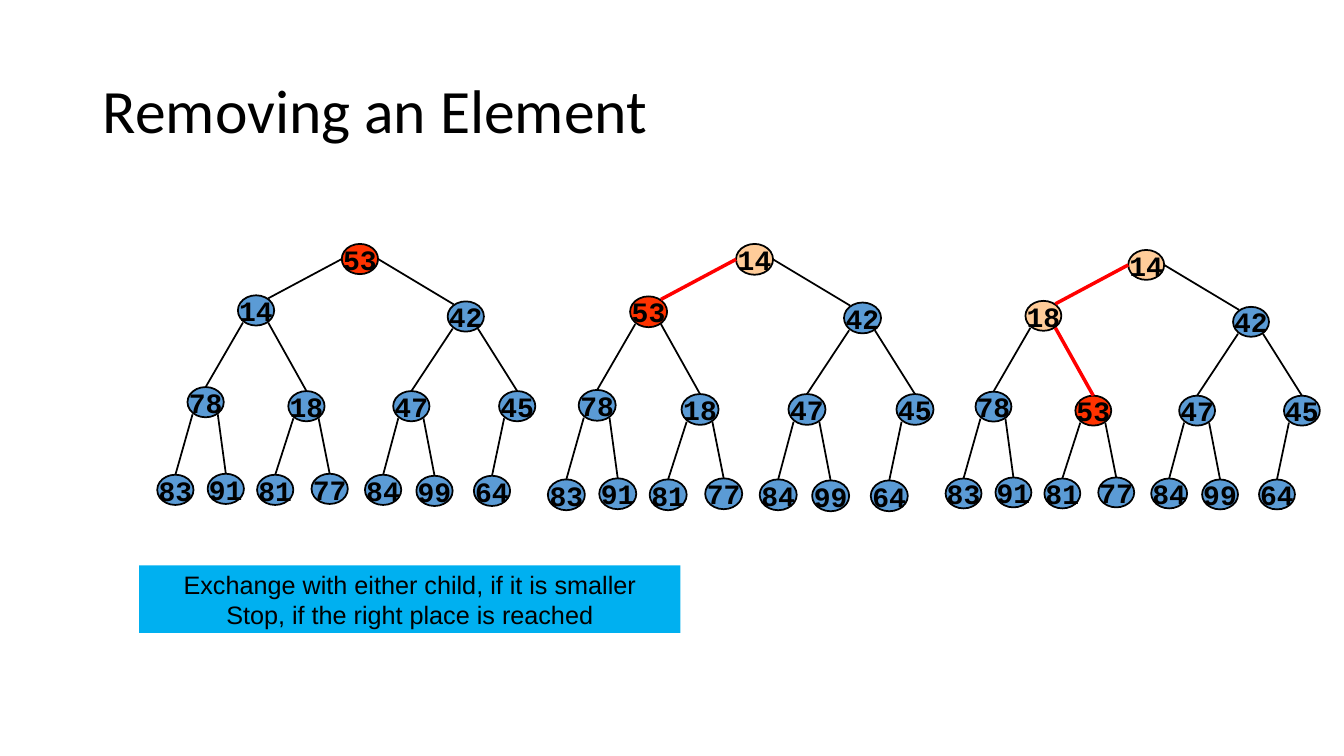
from lxml.etree import SubElement
from pptx import Presentation
from pptx.dml.color import RGBColor
from pptx.enum.shapes import MSO_CONNECTOR, MSO_SHAPE
from pptx.enum.text import MSO_ANCHOR, PP_ALIGN
from pptx.oxml.ns import qn
from pptx.util import Inches, Pt

BLACK, BLUE, SKY = "000000", "5B9BD5", "00B0F0"
FLAME, PEACH, RED = "FF3300", "FFCC99", "FF0000"

# Node offsets from the root in heap order: node i has children 2i and 2i + 1.
NODES = [
    (0, 0),
    (-1.03, 0.51), (1.05, 0.57),
    (-1.53, 1.42), (-0.53, 1.46), (0.51, 1.46), (1.56, 1.46),
    (-1.83, 2.29), (-1.33, 2.28), (-0.84, 2.29), (-0.3, 2.28),
    (0.23, 2.29), (0.74, 2.3), (1.31, 2.3),
]
TAIL = [42, 78, 18, 47, 45, 83, 91, 81, 77, 84, 99, 64]

# Root left and top, scale, keys, fills of marked nodes, nodes below a red edge
TREES = [
    (3.39, 2.42, 1, [53, 14] + TAIL, {1: FLAME}, []),
    (7.3, 2.42, 1.02, [14, 53] + TAIL, {1: PEACH, 2: FLAME}, [2]),
    (11.19, 2.48, 0.99, [14, 18, 42, 78, 53] + TAIL[3:],
     {1: PEACH, 2: PEACH, 5: FLAME}, [2, 5]),
]


def color(code):
    return RGBColor.from_string(code)


class Board:
    """Holds the slide and the style of its elements."""

    def __init__(self, deck):
        self.slide = deck.slides.add_slide(deck.slide_layouts[5])
        self.width, self.height = 0.36, 0.3

    def label(self, frame, lines, font, size, bold=False, align=PP_ALIGN.CENTER):
        frame.vertical_anchor = MSO_ANCHOR.MIDDLE
        frame.text = "\n".join(lines)
        for line in frame.paragraphs:
            line.alignment = align
            line.font.name, line.font.size = font, Pt(size)
            line.font.bold = bold
            line.font.color.rgb = color(BLACK)

    def title(self, text):
        shape = self.slide.shapes.title
        shape.left, shape.top = Inches(0.92), Inches(0.4)
        shape.width, shape.height = Inches(11.5), Inches(1.45)
        self.label(shape.text_frame, [text], "Calibri", 44, align=PP_ALIGN.LEFT)
        shape.text_frame.paragraphs[0].line_spacing = 0.9

    def shape(self, shapes, kind, box, fill):
        item = shapes.add_shape(kind, *map(Inches, box))
        item.shadow.inherit = False
        item.fill.solid()
        item.fill.fore_color.rgb = color(fill)
        item.text_frame.word_wrap = False
        return item

    def node(self, shapes, left, top, scale, key, fill):
        box = left, top, self.width * scale, self.height * scale
        item = self.shape(shapes, MSO_SHAPE.OVAL, box, fill)
        item.line.color.rgb = color(BLACK)
        item.line.width = Pt(1.25)
        self.label(item.text_frame, [str(key)], "Courier New", 20, True)

    def edge(self, shapes, ends, code=BLACK, weight=1.25):
        item = shapes.add_connector(MSO_CONNECTOR.STRAIGHT, *map(Inches, ends))
        item.line.color.rgb = color(code)
        item.line.width = Pt(weight)
        SubElement(item._element.spPr, qn("a:effectLst"))

    def banner(self, box, lines):
        item = self.shape(self.slide.shapes, MSO_SHAPE.RECTANGLE, box, SKY)
        item.line.fill.background()
        self.label(item.text_frame, lines, "Arial", 18)

    def tree(self, left, top, scale, keys, marks, route):
        """Draws one heap as a group, then the red route over it."""
        def place(index, right, down):
            across, below = NODES[index - 1]
            return left + (across + right) * scale, top + (below + down) * scale

        def ends(child):
            parent, odd = divmod(child, 2)
            if parent == 1:
                start = place(1, 0.36 if odd else 0, 0.15)
                return start + place(child, 0.06 if odd else 0.3, 0.03)
            return place(parent, 0.3 if odd else 0.05, 0.27) + place(child, 0.18, 0)

        shapes = self.slide.shapes.add_group_shape().shapes
        for child in range(2, len(NODES) + 1):
            self.edge(shapes, ends(child))
        for index, key in enumerate(keys, 1):
            self.node(shapes, *place(index, 0, 0), scale, key, marks.get(index, BLUE))
        for child in route:
            self.edge(self.slide.shapes, ends(child), RED, 2.5)


def main():
    deck = Presentation()
    deck.slide_width, deck.slide_height = Inches(13.33), Inches(7.5)
    board = Board(deck)
    board.title("Removing an Element")
    for tree in TREES:
        board.tree(*tree)
    board.banner((1.38, 5.61, 5.37, 0.67), [
        "Exchange with either child, if it is smaller",
        "Stop, if the right place is reached",
    ])
    deck.save("out.pptx")


if __name__ == "__main__":
    main()
